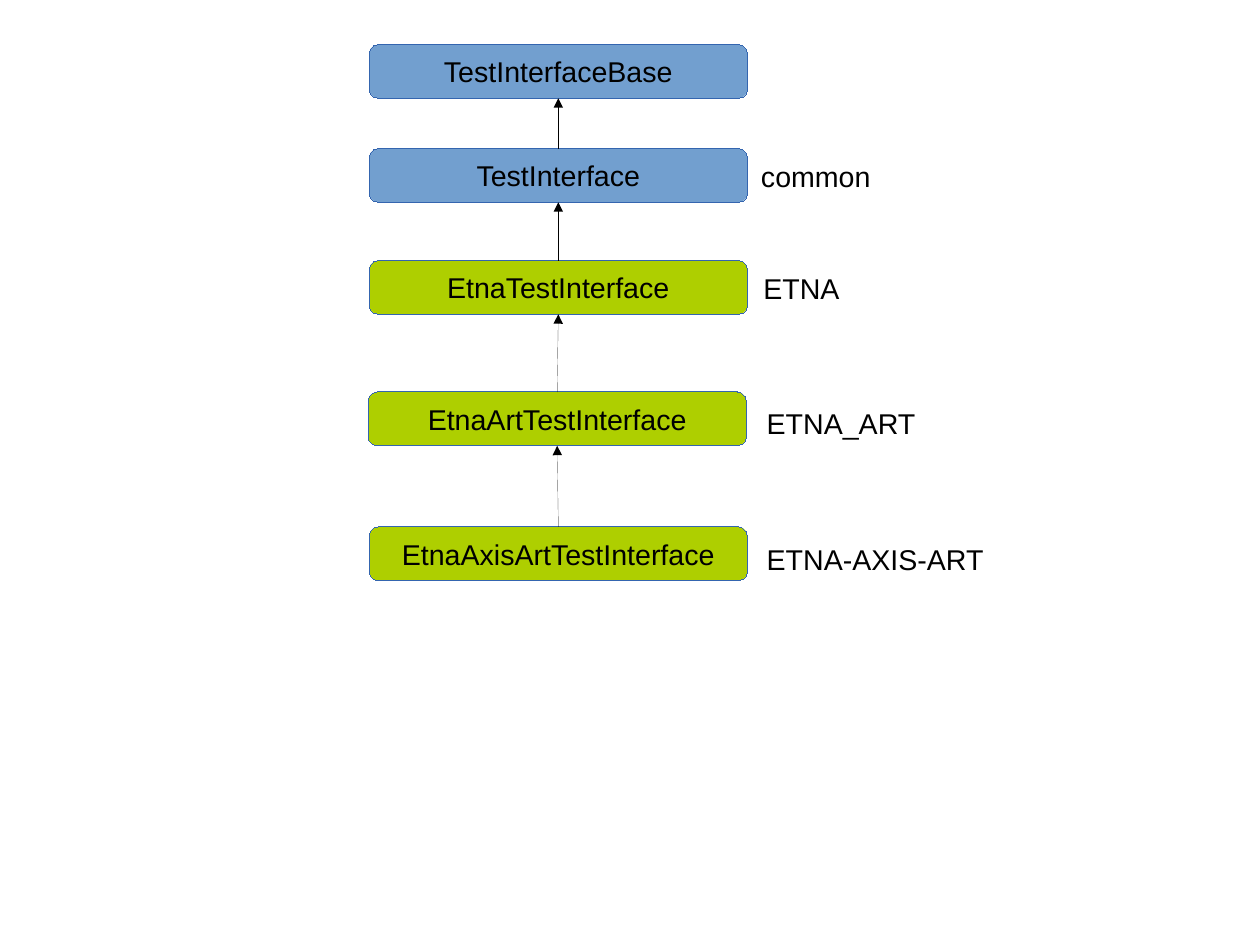
from dataclasses import dataclass
from itertools import pairwise
from typing import Any, Optional

import lxml.etree
import pptx
import pptx.dml.color
import pptx.enum.shapes
import pptx.enum.text
import pptx.oxml.ns
import pptx.presentation
import pptx.shapes.autoshape
import pptx.slide
import pptx.util

Inches = pptx.util.Inches
RGBColor = pptx.dml.color.RGBColor
TOP, BOTTOM = 0, 2
CM_PER_INCH = 2.54


@dataclass(frozen=True)
class Theme:
    base_fill: RGBColor = RGBColor(0x72, 0x9F, 0xCF)
    etna_fill: RGBColor = RGBColor(0xAE, 0xCF, 0x00)
    outline: RGBColor = RGBColor(0x34, 0x65, 0xAF)
    ink: RGBColor = RGBColor(0, 0, 0)
    font: str = "Arial"
    text_size: pptx.util.Pt = pptx.util.Pt(18)
    hairline: pptx.util.Pt = pptx.util.Pt(0.01)


@dataclass(frozen=True)
class PackageLabel:
    text: str
    left: float
    top: float
    width: float


@dataclass(frozen=True)
class ClassBox:
    name: str
    top: float
    fill: RGBColor
    label: Optional[PackageLabel] = None
    left: float = 3.23


THEME = Theme()
BOX_WIDTH, BOX_HEIGHT, LABEL_HEIGHT = 3.31, 0.47, 0.38
CLASSES = [
    ClassBox("TestInterfaceBase", 0.39, THEME.base_fill),
    ClassBox("TestInterface", 1.3, THEME.base_fill,
             PackageLabel("common", 6.56, 1.34, 1.17)),
    ClassBox("EtnaTestInterface", 2.28, THEME.etna_fill,
             PackageLabel("ETNA", 6.58, 2.32, 0.88)),
    ClassBox("EtnaArtTestInterface", 3.43, THEME.etna_fill,
             PackageLabel("ETNA_ART", 6.61, 3.5, 1.5), left=3.22),
    ClassBox("EtnaAxisArtTestInterface", 4.61, THEME.etna_fill,
             PackageLabel("ETNA-AXIS-ART", 6.61, 4.69, 2.1)),
]
BOX_FRAME = {"word_wrap": False,
             "vertical_anchor": pptx.enum.text.MSO_ANCHOR.MIDDLE}
LABEL_FRAME = {"word_wrap": False,
               "auto_size": pptx.enum.text.MSO_AUTO_SIZE.SHAPE_TO_FIT_TEXT}
FONT = {"name": THEME.font, "size": THEME.text_size}


def apply_format(target: Any, values: dict[str, Any]) -> None:
    for name, value in values.items():
        setattr(target, name, value)


def write_text(shape: pptx.shapes.autoshape.Shape, text: str,
               frame_format: dict[str, Any],
               alignment: pptx.enum.text.PP_ALIGN) -> None:
    apply_format(shape.text_frame, frame_format)
    para = shape.text_frame.paragraphs[0]
    para.alignment = alignment
    span = para.add_run()
    span.text = text
    apply_format(span.font, FONT)
    span.font.color.rgb = THEME.ink


def draw_class(page: pptx.slide.Slide,
               item: ClassBox) -> pptx.shapes.autoshape.Shape:
    box = page.shapes.add_shape(
        pptx.enum.shapes.MSO_SHAPE.ROUNDED_RECTANGLE,
        Inches(item.left), Inches(item.top),
        Inches(BOX_WIDTH), Inches(BOX_HEIGHT))
    box.shadow.inherit = False
    box.fill.solid()
    box.fill.fore_color.rgb = item.fill
    box.line.color.rgb = THEME.outline
    box.line.width = THEME.hairline
    write_text(box, item.name, BOX_FRAME, pptx.enum.text.PP_ALIGN.CENTER)
    return box


def draw_label(page: pptx.slide.Slide, label: PackageLabel) -> None:
    box = page.shapes.add_textbox(Inches(label.left), Inches(label.top),
                                  Inches(label.width), Inches(LABEL_HEIGHT))
    write_text(box, label.text, LABEL_FRAME, pptx.enum.text.PP_ALIGN.LEFT)


def draw_inheritance(page: pptx.slide.Slide,
                     parent: pptx.shapes.autoshape.Shape,
                     child: pptx.shapes.autoshape.Shape) -> None:
    """Join the child's top to the parent's bottom, pointing at the parent."""
    arrow = page.shapes.add_connector(
        pptx.enum.shapes.MSO_CONNECTOR.STRAIGHT, 0, 0, 0, 0)
    arrow.begin_connect(child, TOP)
    arrow.end_connect(parent, BOTTOM)
    arrow.line.color.rgb = THEME.ink
    arrow.line.width = THEME.hairline
    qualify = pptx.oxml.ns.qn
    outline = arrow._element.spPr.find(qualify("a:ln"))
    lxml.etree.SubElement(outline, qualify("a:tailEnd"), type="triangle")
    lxml.etree.SubElement(arrow._element.spPr, qualify("a:effectLst"))


def main() -> None:
    deck = pptx.Presentation()
    deck.slide_width = Inches(28 / CM_PER_INCH)
    deck.slide_height = Inches(21 / CM_PER_INCH)
    page = deck.slides.add_slide(deck.slide_layouts[6])
    boxes = [draw_class(page, item) for item in CLASSES]
    for item in CLASSES:
        if item.label:
            draw_label(page, item.label)
    for parent, child in pairwise(boxes):
        draw_inheritance(page, parent, child)
    deck.save("out.pptx")


if __name__ == "__main__":
    main()
